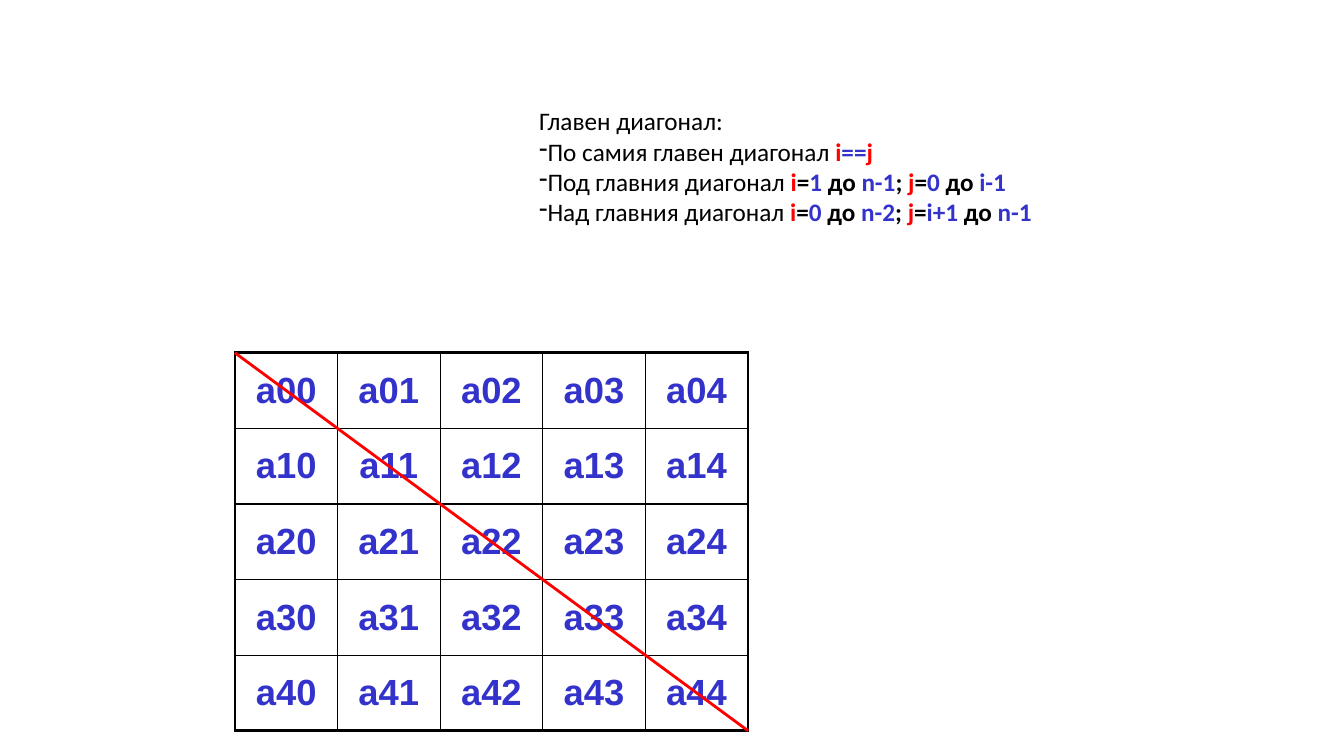
import pptx
import pptx.dml.color
import pptx.enum.shapes
import pptx.enum.text
import pptx.oxml.ns
import pptx.util
import lxml.etree

Inches = pptx.util.Inches
BLACK, RED, BLUE = "000000", "FF0000", "3333CC"
SIZE = 5
THIN, THICK = 1, 2.25

PLAIN = {"color": BLACK, "bold": False}
WORD = {"color": BLACK, "bold": True}
INDEX = {"color": RED, "bold": True}
VALUE = {"color": BLUE, "bold": True}

HEADING = [("Главен диагонал:", PLAIN)]
RULES = [
    [("По самия главен диагонал ", PLAIN), ("i", INDEX), ("==", VALUE), ("j", INDEX)],
    [("Под главния диагонал ", PLAIN), ("i", INDEX), ("=", WORD), ("1 ", VALUE),
     ("до ", WORD), ("n-1", VALUE), ("; ", WORD), ("j", INDEX), ("=", WORD),
     ("0 ", VALUE), ("до ", WORD), ("i-1", VALUE)],
    [("Над главния диагонал ", PLAIN), ("i", INDEX), ("=", WORD), ("0", VALUE),
     (" до ", WORD), ("n-2", VALUE), ("; ", WORD), ("j", INDEX), ("=", WORD),
     ("i+1 ", VALUE), ("до ", WORD), ("n-1", VALUE)],
]


def rgb(color):
    """Turn a hex string into a colour."""
    return pptx.dml.color.RGBColor.from_string(color)


def add_element(parent, tag, **attributes):
    """Append a DrawingML element to its parent."""
    return lxml.etree.SubElement(parent, pptx.oxml.ns.qn(tag), attributes)


def add_run(paragraph, text, font, size, color, bold):
    """Add a formatted run to a paragraph."""
    run = paragraph.add_run()
    run.text = text
    formats = {"name": font, "size": pptx.util.Pt(size), "bold": bold}
    for name, value in formats.items():
        setattr(run.font, name, value)
    run.font.color.rgb = rgb(color)


def set_borders(cell, row, column):
    """Draw thick borders on the outside of the matrix and thin ones inside."""
    properties = cell._tc.get_or_add_tcPr()
    outer_sides = {"L": column == 0, "R": column == SIZE - 1,
                   "T": row == 0, "B": row == SIZE - 1}
    for side, outer in outer_sides.items():
        width = pptx.util.Pt(THICK if outer else THIN)
        line = add_element(properties, f"a:ln{side}", w=str(width))
        add_element(add_element(line, "a:solidFill"), "a:srgbClr", val=BLACK)


def add_matrix(slide, left, top, width, height):
    """Add the square matrix of indexed elements."""
    frame = slide.shapes.add_table(SIZE, SIZE, left, top, width, height)
    table = frame.table
    table.first_row = table.horz_banding = False
    for row in range(SIZE):
        for column in range(SIZE):
            cell = table.cell(row, column)
            cell.vertical_anchor = pptx.enum.text.MSO_ANCHOR.MIDDLE
            paragraph = cell.text_frame.paragraphs[0]
            paragraph.alignment = pptx.enum.text.PP_ALIGN.CENTER
            spacing = add_element(paragraph._p.get_or_add_pPr(), "a:spcBef")
            add_element(spacing, "a:spcPct", val="20000")
            add_run(paragraph, f"а{row}{column}", "Arial", 26, **VALUE)
            set_borders(cell, row, column)
            cell.fill.background()


def add_diagonal(slide, left, top, width, height):
    """Add the main diagonal across the given box."""
    diagonal = slide.shapes.add_connector(
        pptx.enum.shapes.MSO_CONNECTOR.STRAIGHT, left, top, left + width, top + height)
    diagonal.line.color.rgb = rgb(RED)
    diagonal.line.width = pptx.util.Pt(2)
    add_element(diagonal._element.spPr, "a:effectLst")


def add_rules(slide, left, top, width, height):
    """Add the heading and the dashed list of index rules."""
    text_frame = slide.shapes.add_textbox(left, top, width, height).text_frame
    text_frame.word_wrap = False
    text_frame.auto_size = pptx.enum.text.MSO_AUTO_SIZE.SHAPE_TO_FIT_TEXT
    for number, runs in enumerate([HEADING] + RULES):
        paragraph = text_frame.add_paragraph() if number else text_frame.paragraphs[0]
        if number:
            properties = paragraph._p.get_or_add_pPr()
            add_element(properties, "a:buFontTx")
            add_element(properties, "a:buChar", char="-")
        for text, style in runs:
            add_run(paragraph, text, "Calibri", 18, **style)


def main():
    """Build the slide and save it."""
    presentation = pptx.Presentation()
    presentation.slide_width = Inches(13.33)
    presentation.slide_height = Inches(7.5)
    slide = presentation.slides.add_slide(presentation.slide_layouts[6])
    matrix_box = (Inches(2.33), Inches(3.5), Inches(5.09), Inches(3.75))
    add_matrix(slide, *matrix_box)
    add_diagonal(slide, *matrix_box)
    add_rules(slide, Inches(5.25), Inches(1), Inches(5.13), Inches(1.31))
    presentation.save("out.pptx")


if __name__ == "__main__":
    main()
